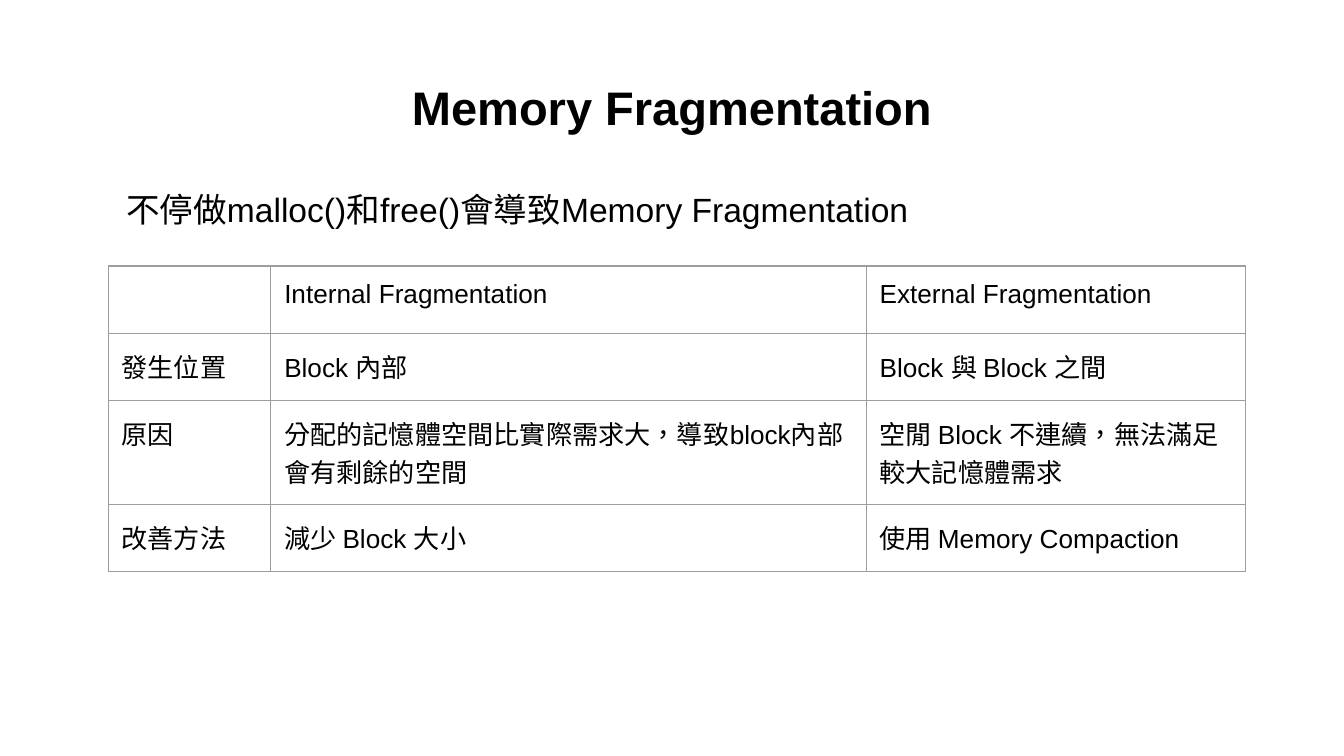
from dataclasses import dataclass

from lxml.etree import SubElement
from pptx import Presentation
from pptx.dml.color import RGBColor
from pptx.enum.text import MSO_ANCHOR, MSO_AUTO_SIZE, PP_ALIGN
from pptx.oxml.ns import qn
from pptx.util import Inches, Pt

COLORS = {"text": "000000", "border": "9E9E9E", "background": "FFFFFF"}
FONT = "Arial"
LANGUAGE = "zh-TW"
SLIDE_WIDTH = Inches(10)
SLIDE_HEIGHT = SLIDE_WIDTH * 9 // 16
GRID_UNIT = SLIDE_WIDTH // 100
MARGIN = GRID_UNIT
COLUMN_WIDTHS = (12.1, 44.3, 28.2)
ROW_HEIGHTS = (5, 5, 7.75, 5)
ROWS = (
    ("", "Internal Fragmentation", "External Fragmentation"),
    ("發生位置", "Block 內部", "Block 與 Block 之間"),
    ("原因", "分配的記憶體空間比實際需求大，導致block內部會有剩餘的空間",
     "空閒 Block 不連續，無法滿足較大記憶體需求"),
    ("改善方法", "減少 Block 大小", "使用 Memory Compaction"),
)


@dataclass(frozen=True)
class Area:
    left: float
    top: float
    width: float
    height: float

    def lengths(self) -> tuple[int, ...]:
        return tuple(grid_length(units) for units in (self.left, self.top, self.width, self.height))


def grid_length(units: float) -> int:
    return round(units * GRID_UNIT)


TITLE_AREA = Area(3.4, 4.85, 93.2, 6.3)
BODY_AREA = Area(3.4, 12.6, 93.2, 37.4)
TABLE_AREA = Area(8.05, 19.8, sum(COLUMN_WIDTHS), sum(ROW_HEIGHTS))


def format_font(font, size: float, bold: bool = False) -> None:
    font.name = FONT
    font.size = Pt(size)
    font.bold = bold
    font.color.rgb = RGBColor.from_string(COLORS["text"])


def format_runs(paragraph, size: float, bold: bool = False) -> None:
    for run in paragraph.runs:
        format_font(run.font, size, bold)
        run._r.get_or_add_rPr().set("lang", LANGUAGE)


def set_margins(target) -> None:
    target.margin_left = target.margin_right = MARGIN
    target.margin_top = target.margin_bottom = MARGIN


def fill_frame(shape, text: str, size: float, bold: bool = False):
    text_frame = shape.text_frame
    text_frame.text = text
    text_frame.word_wrap = True
    text_frame.auto_size = MSO_AUTO_SIZE.NONE
    text_frame.vertical_anchor = MSO_ANCHOR.TOP
    set_margins(text_frame)
    paragraph = text_frame.paragraphs[0]
    format_runs(paragraph, size, bold)
    return paragraph


def draw_title(slide) -> None:
    title = slide.shapes.title
    title.left, title.top, title.width, title.height = TITLE_AREA.lengths()
    paragraph = fill_frame(title, "Memory Fragmentation", 25.2, bold=True)
    paragraph.alignment = PP_ALIGN.CENTER


def draw_body(slide) -> None:
    body = slide.shapes.add_textbox(*BODY_AREA.lengths())
    paragraph = fill_frame(body, "不停做malloc()和free()會導致Memory Fragmentation", 18)
    paragraph.line_spacing = 1.15
    paragraph.space_after = Pt(12)
    properties = paragraph._p.get_or_add_pPr()
    properties.set("marL", "0")
    properties.set("indent", str(grid_length(5)))


def format_cell(cell, text: str) -> None:
    cell.text = text
    set_margins(cell)
    cell.vertical_anchor = MSO_ANCHOR.TOP
    paragraph = cell.text_frame.paragraphs[0]
    format_runs(paragraph, 14)
    if not text:
        format_font(paragraph.font, 14)
    properties = cell._tc.get_or_add_tcPr()
    for side in ("lnL", "lnR", "lnT", "lnB"):
        line = SubElement(properties, qn(f"a:{side}"), w=str(Pt(0.75)))
        fill = SubElement(line, qn("a:solidFill"))
        SubElement(fill, qn("a:srgbClr"), val=COLORS["border"])
    cell.fill.background()
    properties.append(properties.find(qn("a:noFill")))


def draw_table(slide) -> None:
    frame = slide.shapes.add_table(len(ROWS), len(COLUMN_WIDTHS), *TABLE_AREA.lengths())
    table = frame.table
    table.first_row = table.horz_banding = False
    for column, width in zip(table.columns, COLUMN_WIDTHS):
        column.width = grid_length(width)
    for row, height, texts in zip(table.rows, ROW_HEIGHTS, ROWS):
        row.height = grid_length(height)
        for cell, text in zip(row.cells, texts):
            format_cell(cell, text)


def main() -> None:
    presentation = Presentation()
    presentation.slide_width, presentation.slide_height = SLIDE_WIDTH, SLIDE_HEIGHT
    slide = presentation.slides.add_slide(presentation.slide_layouts[5])
    slide.background.fill.solid()
    slide.background.fill.fore_color.rgb = RGBColor.from_string(COLORS["background"])
    draw_title(slide)
    draw_body(slide)
    draw_table(slide)
    presentation.save("out.pptx")


if __name__ == "__main__":
    main()
